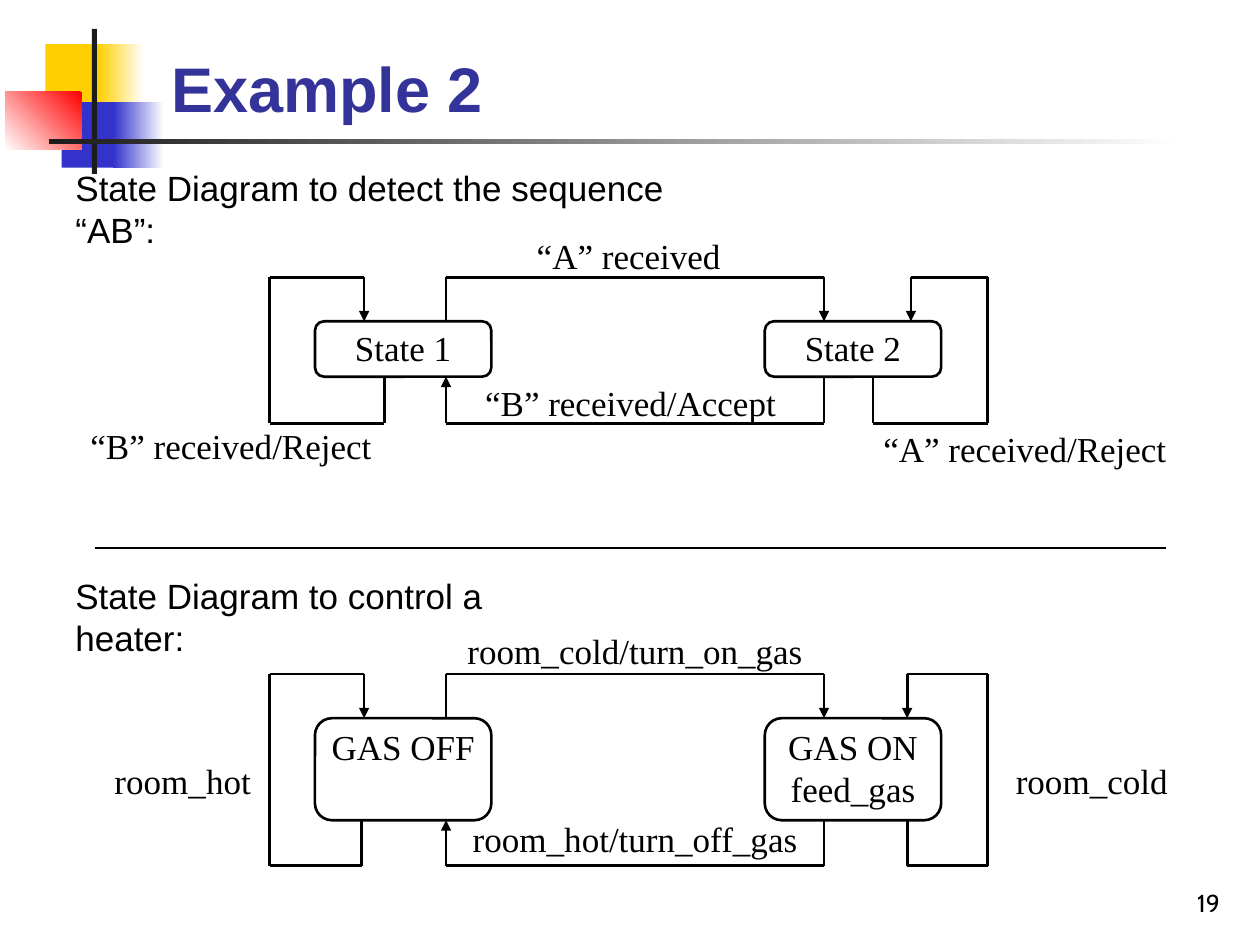
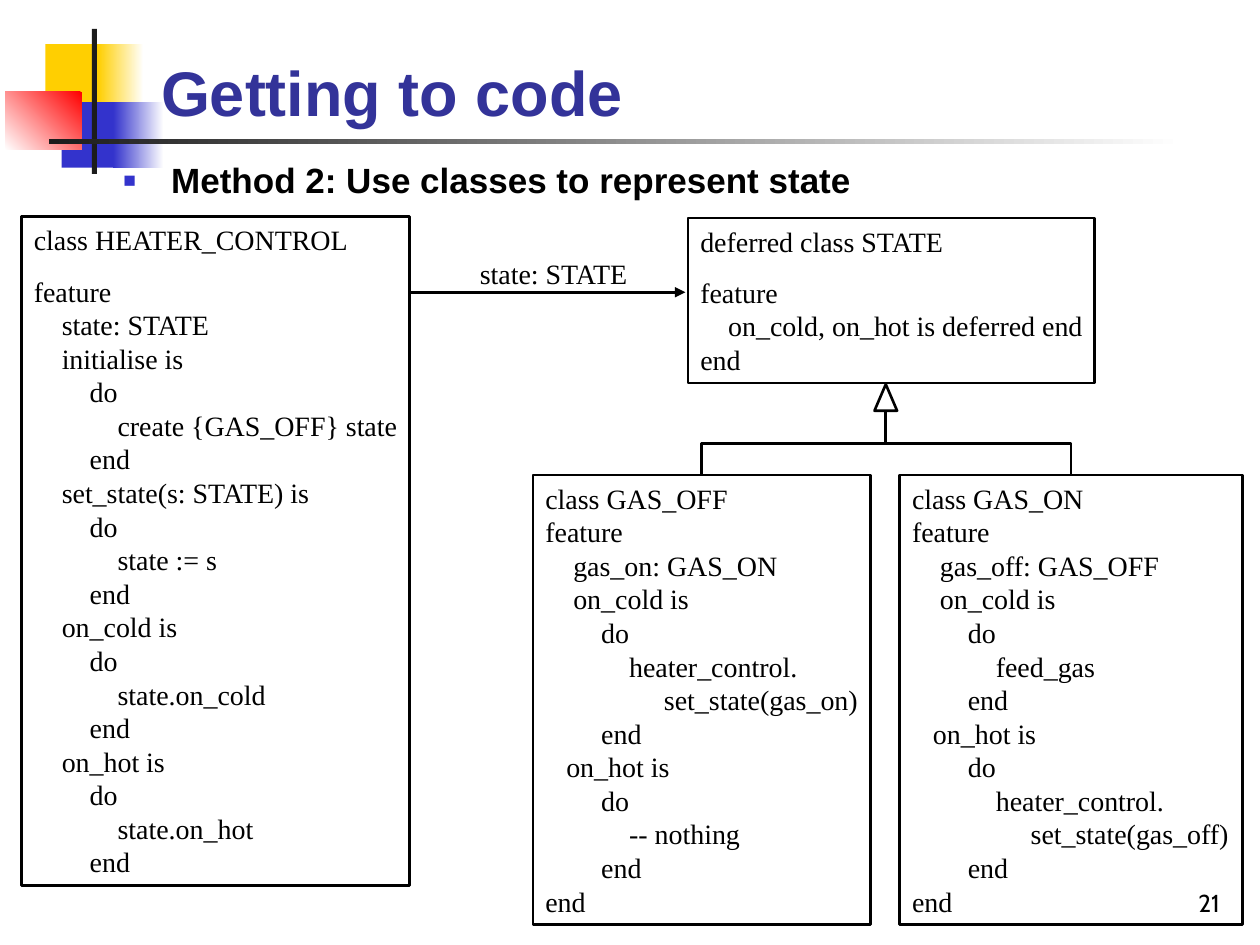
import pptx
import pptx.util
import pptx.dml.color
import pptx.enum.shapes
import pptx.enum.text
import pptx.oxml
import pptx.oxml.ns
from lxml import etree

Inches, Pt = pptx.util.Inches, pptx.util.Pt
SHAPE = pptx.enum.shapes.MSO_SHAPE
CONNECTOR = pptx.enum.shapes.MSO_CONNECTOR
ALIGN = pptx.enum.text.PP_ALIGN
ANCHOR = pptx.enum.text.MSO_ANCHOR

# Shared style
SANS, SERIF, NUMBER_FONT = "Arial", "Times New Roman", "Cabin"
BLACK, WHITE, TITLE_BLUE = "000000", "FFFFFF", "333399"
YELLOW, BLUE, RED, DARK = "FFCF01", "3333CC", "FF0000", "1C1C1C"
LINE_WIDTH = 1.5

# Decoration: place, then one colour or (from, to, counter-clockwise angle)
DECORATION = [
    ((0.36, 0.35, 0.48, 0.52), YELLOW),
    ((0.78, 0.35, 0.36, 0.52), (WHITE, YELLOW, 180)),
    ((0.49, 0.81, 0.46, 0.52), BLUE),
    ((0.9, 0.81, 0.4, 0.52), (WHITE, BLUE, 180)),
    ((0.04, 0.73, 0.61, 0.46), (RED, WHITE, 225)),
    ((0.73, 0.23, 0.04, 1.15), DARK),
    ((0.39, 1.1, 9, 0.04), (WHITE, DARK, 180)),
]

# State diagrams: self loops are (exit x, far x, entry x)
STATE_LEFTS, STATE_WIDTH = (2.5, 6.07), 1.4
TRANSITION_XS = (3.54, 6.54)
DIAGRAMS = [
    {
        "heading": ("State Diagram to detect the sequence “AB”:", (0.5, 1.27, 5.58, 0.44)),
        "states": ["State 1", "State 2"],
        "top": 2.55, "height": 0.44, "rails": (2.2, 3.36),
        "self_loops": [(3.05, 2.14, 2.89), (6.93, 7.84, 7.23)],
        "labels": [
            ("“B” received/Reject", (0.62, 3.32, 2.43, 0.77)),
            ("“A” received", (3.9, 1.81, 2.18, 0.44)),
            ("“A” received/Reject", (6.87, 3.34, 2.53, 0.44)),
            ("“B” received/Accept", (3.7, 2.98, 2.61, 0.44)),
        ],
    },
    {
        "heading": ("State Diagram to control a heater:", (0.5, 4.51, 4.37, 0.44)),
        "states": ["GAS OFF", "GAS ON\nfeed_gas"],
        "top": 5.7, "height": 0.81, "rails": (5.35, 6.87),
        "self_loops": [(2.87, 2.14, 2.89), (7.2, 7.84, 7.2)],
        "labels": [
            ("room_hot", (0.75, 5.98, 1.4, 0.44)),
            ("room_cold/turn_on_gas", (3.54, 4.95, 3, 0.44)),
            ("room_cold", (7.9, 5.98, 1.53, 0.44)),
            ("room_hot/turn_off_gas", (3.54, 6.44, 3, 0.44)),
        ],
    },
]
DIVIDER = [(0.75, 4.35), (9.25, 4.35)]

# Class boxes: place, then paragraphs of code
CLASSES = [
    ((0.17, 1.72, 3.08, 5.31), ["class HEATER_CONTROL", """feature
    state: STATE
    initialise is
        do
            create {GAS_OFF} state
        end
    set_state(s: STATE) is
        do
            state := s
        end
    on_cold is
        do
            state.on_cold
        end
    on_hot is
        do
            state.on_hot
        end"""]),
    ((5.46, 1.73, 3.23, 1.31), ["deferred class STATE", """feature
    on_cold, on_hot is deferred end
end"""]),
    ((4.23, 3.77, 2.68, 3.57), ["""class GAS_OFF
feature
    gas_on: GAS_ON
    on_cold is
        do
            heater_control.
                 set_state(gas_on)
        end
   on_hot is
        do
            -- nothing
        end
end"""]),
    ((7.14, 3.77, 2.72, 3.57), ["""class GAS_ON
feature
    gas_off: GAS_OFF
    on_cold is
        do
            feed_gas
        end
   on_hot is
        do
            heater_control.
                 set_state(gas_off)
        end
end"""]),
]
STATE_ARROW = [(3.26, 2.32), (5.44, 2.32)]
INHERITANCE_HEAD = (6.94, 3.05, 0.18, 0.21)
PARENT_POINT = (7.03, 3.27)


def color(value):
    return pptx.dml.color.RGBColor.from_string(value)


def add_shape(s, kind, box, fill=None, outlined=True):
    sp = s.shapes.add_shape(kind, *map(Inches, box))
    sp.shadow.inherit = False
    if fill is None:
        sp.fill.background()
    elif isinstance(fill, tuple):
        sp.fill.gradient()
        sp.fill.gradient_angle = fill[2]
        for stop, value in zip(sp.fill.gradient_stops, fill):
            stop.color.rgb = color(value)
    else:
        sp.fill.solid()
        sp.fill.fore_color.rgb = color(fill)
    if outlined:
        sp.line.color.rgb = color(BLACK)
        sp.line.width = Pt(LINE_WIDTH)
    else:
        sp.line.fill.background()
    return sp


def write(sp, paragraphs, size, font=SERIF, tint=BLACK, bold=False,
          align=ALIGN.LEFT, anchor=ANCHOR.TOP, wrap=True, gap=0):
    tf = sp.text_frame
    tf.word_wrap = wrap
    tf.vertical_anchor = anchor
    for i, text in enumerate(paragraphs):
        p = tf.add_paragraph() if i else tf.paragraphs[0]
        p.alignment = align
        if i:
            p.space_before = Pt(gap)
        for j, line in enumerate(text.split("\n")):
            if j:
                p.add_line_break()
            r = p.add_run()
            r.text = line
            r.font.name, r.font.size, r.font.bold = font, Pt(size), bold
            r.font.color.rgb = color(tint)
        p.font.size = Pt(size)
    return tf


def add_text(s, text, box, size, **style):
    return write(s.shapes.add_textbox(*map(Inches, box)), [text], size, **style)


def add_line(s, start, end, kind=CONNECTOR.STRAIGHT, arrow=False):
    c = s.shapes.add_connector(kind, *map(Inches, (*start, *end)))
    c.line.color.rgb = color(BLACK)
    c.line.width = Pt(LINE_WIDTH)
    if arrow:
        ln = c.line._get_or_add_ln()
        etree.SubElement(ln, pptx.oxml.ns.qn("a:tailEnd"), type="triangle")
    etree.SubElement(c._element.spPr, pptx.oxml.ns.qn("a:effectLst"))
    return c


def add_route(s, points):
    """Straight legs through the points, with an arrowhead on the last one."""
    last = len(points) - 2
    for i, (start, end) in enumerate(zip(points, points[1:])):
        add_line(s, start, end, arrow=i == last)


def add_upright_elbow(s, start, end):
    """An elbow that leaves and arrives vertically: a level one turned by 90°."""
    cx, cy = (start[0] + end[0]) / 2, (start[1] + end[1]) / 2
    turned = [(cx + y - cy, cy - x + cx) for x, y in (start, end)]
    c = add_line(s, *turned, kind=CONNECTOR.ELBOW)
    c._element.spPr.find(pptx.oxml.ns.qn("a:xfrm")).set("rot", "5400000")


def start_slide(prs, title, title_box):
    s = prs.slides.add_slide(prs.slide_layouts[6])
    for box, fill in DECORATION:
        add_shape(s, SHAPE.RECTANGLE, box, fill, outlined=False)
    add_text(s, title, title_box, 36, font=SANS, tint=TITLE_BLUE, bold=True,
             anchor=ANCHOR.BOTTOM)
    return s


def add_page_number(s, number):
    add_text(s, number, (7.7, 6.83, 2.08, 0.5), 14, font=NUMBER_FONT,
             align=ALIGN.RIGHT, anchor=ANCHOR.BOTTOM)


def add_diagram(s, diagram):
    top, (high, low) = diagram["top"], diagram["rails"]
    bottom = top + diagram["height"]
    add_text(s, *diagram["heading"], 20, font=SANS, wrap=False)

    # States
    for left, name in zip(STATE_LEFTS, diagram["states"]):
        sp = add_shape(s, SHAPE.ROUNDED_RECTANGLE,
                       (left, top, STATE_WIDTH, diagram["height"]))
        tf = write(sp, [name], 20, align=ALIGN.CENTER)
        tf.margin_left = tf.margin_right = 0
        tf.margin_top = tf.margin_bottom = Inches(0.02)

    # Transitions there and back, then self loops
    x1, x2 = TRANSITION_XS
    add_route(s, [(x1, top), (x1, high), (x2, high), (x2, top)])
    add_route(s, [(x2, bottom), (x2, low), (x1, low), (x1, bottom)])
    for leave, far, enter in diagram["self_loops"]:
        add_route(s, [(leave, bottom), (leave, low), (far, low),
                      (far, high), (enter, high), (enter, top)])

    for text, box in diagram["labels"]:
        add_text(s, text, box, 20, align=ALIGN.CENTER)


def build_example(prs):
    s = start_slide(prs, "Example 2", (1.26, 0.23, 8.52, 0.81))
    add_line(s, *DIVIDER)
    for diagram in DIAGRAMS:
        add_diagram(s, diagram)
    add_page_number(s, "19")


def build_code(prs):
    s = start_slide(prs, "Getting to code", (1.18, 0.28, 8.07, 0.79))

    # Bulleted method
    tf = add_text(s, "Method 2: Use classes to represent state",
                  (0.88, 1.25, 6.49, 0.47), 20, font=SANS, bold=True)
    p = tf.paragraphs[0]
    p.line_spacing = 0.9
    pPr = p._p.get_or_add_pPr()
    pPr.set("marL", str(Inches(0.38)))
    pPr.set("indent", str(-Inches(0.38)))
    bullet = pptx.oxml.parse_xml(
        f'<a:pPr {pptx.oxml.ns.nsdecls("a")}><a:buClr><a:srgbClr val="{BLUE}"/></a:buClr>'
        '<a:buSzPct val="60000"/><a:buFont typeface="Arial"/><a:buChar char="■"/></a:pPr>')
    at = pPr.index(pPr.find(pptx.oxml.ns.qn("a:lnSpc"))) + 1
    pPr[at:at] = list(bullet)

    # Classes
    for box, code in CLASSES:
        write(add_shape(s, SHAPE.RECTANGLE, box), code, 16, wrap=False, gap=10)

    # Association and inheritance
    add_route(s, STATE_ARROW)
    add_text(s, "state: STATE", (3.71, 1.99, 1.41, 0.37), 16, wrap=False)
    add_shape(s, SHAPE.ISOSCELES_TRIANGLE, INHERITANCE_HEAD, WHITE)
    for (left, top, width, _), _ in CLASSES[2:]:
        add_upright_elbow(s, (left + width / 2, top), PARENT_POINT)
    add_page_number(s, "21")


def main():
    prs = pptx.Presentation()
    prs.slide_width, prs.slide_height = Inches(10), Inches(7.5)
    build_example(prs)
    build_code(prs)
    prs.save("out.pptx")


if __name__ == "__main__":
    main()
